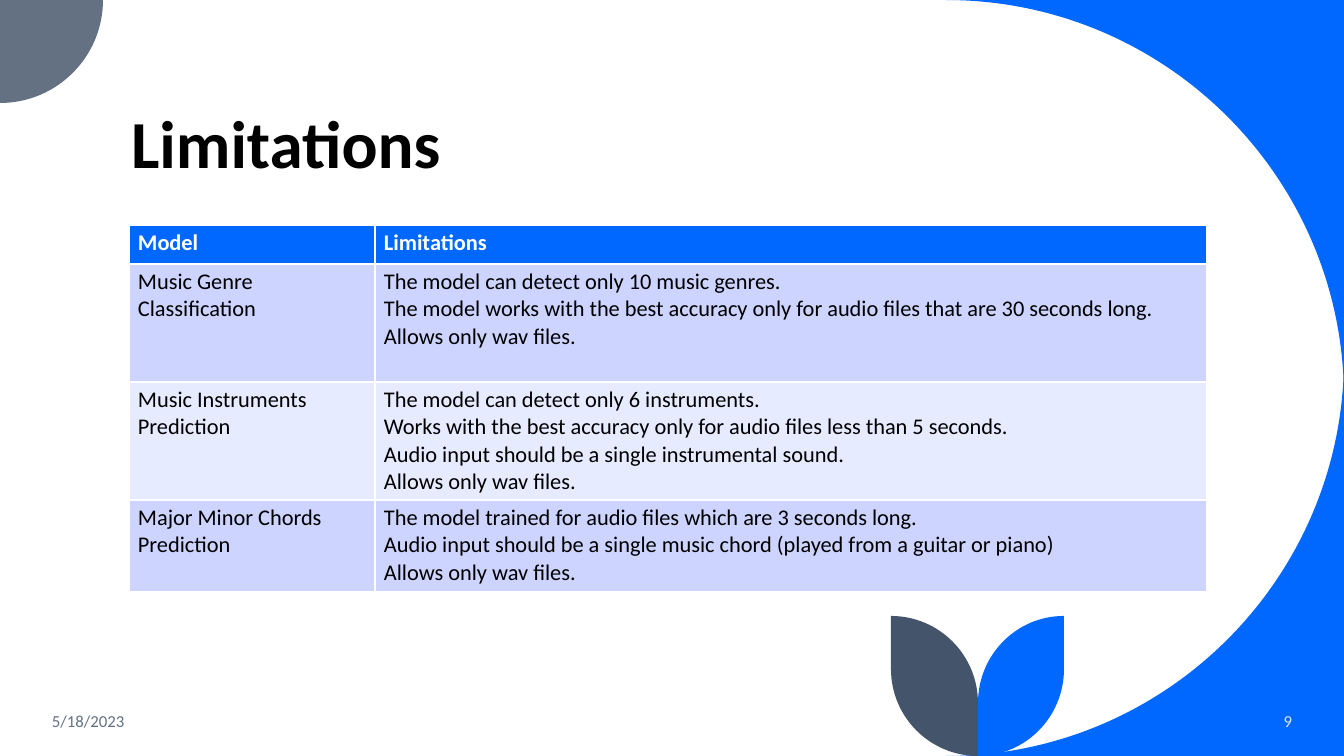
"""Build the Limitations slide: a table of model limits framed by curved corners."""
import lxml.etree
import pptx
import pptx.dml.color
import pptx.enum.text
import pptx.oxml.ns
import pptx.util

PX = 914400 / 100.8
ROUNDNESS = 0.5523
BLUE, SLATE, NAVY, WHITE, BLACK = "0068FF", "637183", "44546A", "FFFFFF", "000000"


def paint(target, colour):
    """Give a fill or a font a solid colour from a hex string."""
    if hasattr(target, "solid"):
        target.solid()
        target.fore_color.rgb = pptx.dml.color.RGBColor.from_string(colour)
    else:
        target.color.rgb = pptx.dml.color.RGBColor.from_string(colour)


def draw_outline(points, bends, colour):
    """Draw a closed outline in px; bends maps a point's index to the corner its arc rounds."""
    ends = [(round(x * PX), round(y * PX)) for x, y in points]
    builder = slide.shapes.build_freeform(*ends[0], scale=1.0)
    builder.add_line_segments(ends[1:], close=True)
    outline = builder.convert_to_shape()
    outline.shadow.inherit = False
    outline.line.fill.background()
    paint(outline.fill, colour)
    sides = list(outline._element.iter(pptx.oxml.ns.qn("a:lnTo")))
    for index, corner in bends.items():
        arc = lxml.etree.Element(pptx.oxml.ns.qn("a:cubicBezTo"))
        handles = [
            [n * PX + (c * PX - n * PX) * ROUNDNESS for n, c in zip(points[i], corner)]
            for i in (index - 1, index)
        ]
        for x, y in handles + [ends[index]]:
            lxml.etree.SubElement(arc, pptx.oxml.ns.qn("a:pt"),
                                  x=str(round(x - outline.left)), y=str(round(y - outline.top)))
        side = sides[index - 1]
        side.getparent().replace(side, arc)


deck = pptx.Presentation()
deck.slide_width, deck.slide_height = round(1344 * PX), round(756 * PX)
slide = deck.slides.add_slide(deck.slide_layouts[5])

draw_outline([(1344, 0), (946, 0), (1344, 398)], {2: (1344, 0)}, BLUE)
draw_outline([(1344, 358), (946, 756), (1344, 756)], {1: (1344, 756)}, BLUE)
draw_outline([(0, 0), (103, 0), (0, 103)], {2: (103, 103)}, SLATE)
for tip, colour in ((1064, BLUE), (891, NAVY)):
    leaf = [(tip, 616), (tip, 669), (978, 756), (978, 703), (tip, 616)]
    draw_outline(leaf, {2: (tip, 756), 4: (978, 616)}, colour)

title = slide.shapes.title
title.left, title.top, title.width, title.height = [round(n * PX) for n in (121, 42, 1078, 146)]
title.text_frame.text = "Limitations"
title.text_frame.vertical_anchor = pptx.enum.text.MSO_ANCHOR.BOTTOM
heading = title.text_frame.paragraphs[0]
heading.alignment = pptx.enum.text.PP_ALIGN.LEFT
heading.line_spacing = 0.9
heading.font.name, heading.font.size, heading.font.bold = "Calibri", pptx.util.Pt(48), True
paint(heading.font, BLACK)

footers = [
    ("5/18/2023", 42, 302, SLATE, pptx.enum.text.PP_ALIGN.LEFT),
    ("9", 1119, 183, "DAE5EF", pptx.enum.text.PP_ALIGN.RIGHT),
]
for wording, left, width, colour, alignment in footers:
    footer = slide.shapes.add_textbox(*[round(n * PX) for n in (left, 701, width, 40)]).text_frame
    footer.word_wrap = True
    footer.vertical_anchor = pptx.enum.text.MSO_ANCHOR.MIDDLE
    footer.text = wording
    line = footer.paragraphs[0]
    line.alignment = alignment
    line.space_after = pptx.util.Pt(6)
    line.font.name, line.font.size = "Calibri", pptx.util.Pt(12)
    paint(line.font, colour)

limits = [
    (39, BLUE, "Model", ["Limitations"]),
    (118, "CCD4FF", "Music Genre Classification", [
        "The model can detect only 10 music genres.",
        "The model works with the best accuracy only for audio files that are 30 seconds long.",
        "Allows only wav files.",
    ]),
    (118, "E7EBFF", "Music Instruments Prediction", [
        "The model can detect only 6 instruments.",
        "Works with the best accuracy only for audio files less than 5 seconds.",
        "Audio input should be a single instrumental sound.",
        "Allows only wav files.",
    ]),
    (92, "CCD4FF", "Major Minor Chords Prediction", [
        "The model trained for audio files which are 3 seconds long.",
        "Audio input should be a single music chord (played from a guitar or piano)",
        "Allows only wav files.",
    ]),
]
table = slide.shapes.add_table(4, 2, *[round(n * PX) for n in (129, 225, 1078, 367)]).table
for column, width in zip(table.columns, (246, 832)):
    column.width = round(width * PX)
for row, (height, shade, model, limitations) in enumerate(limits):
    table.rows[row].height = round(height * PX)
    for col, wording in enumerate((model, "\n".join(limitations))):
        cell = table.cell(row, col)
        cell.margin_left = cell.margin_right = round(9 * PX)
        cell.margin_top = cell.margin_bottom = round(4 * PX)
        cell.text = wording
        for line in cell.text_frame.paragraphs:
            line.font.name, line.font.size = "Calibri", pptx.util.Pt(16)
            line.font.bold = row == 0
            paint(line.font, WHITE if row == 0 else BLACK)
        paint(cell.fill, shade)

deck.save("out.pptx")
